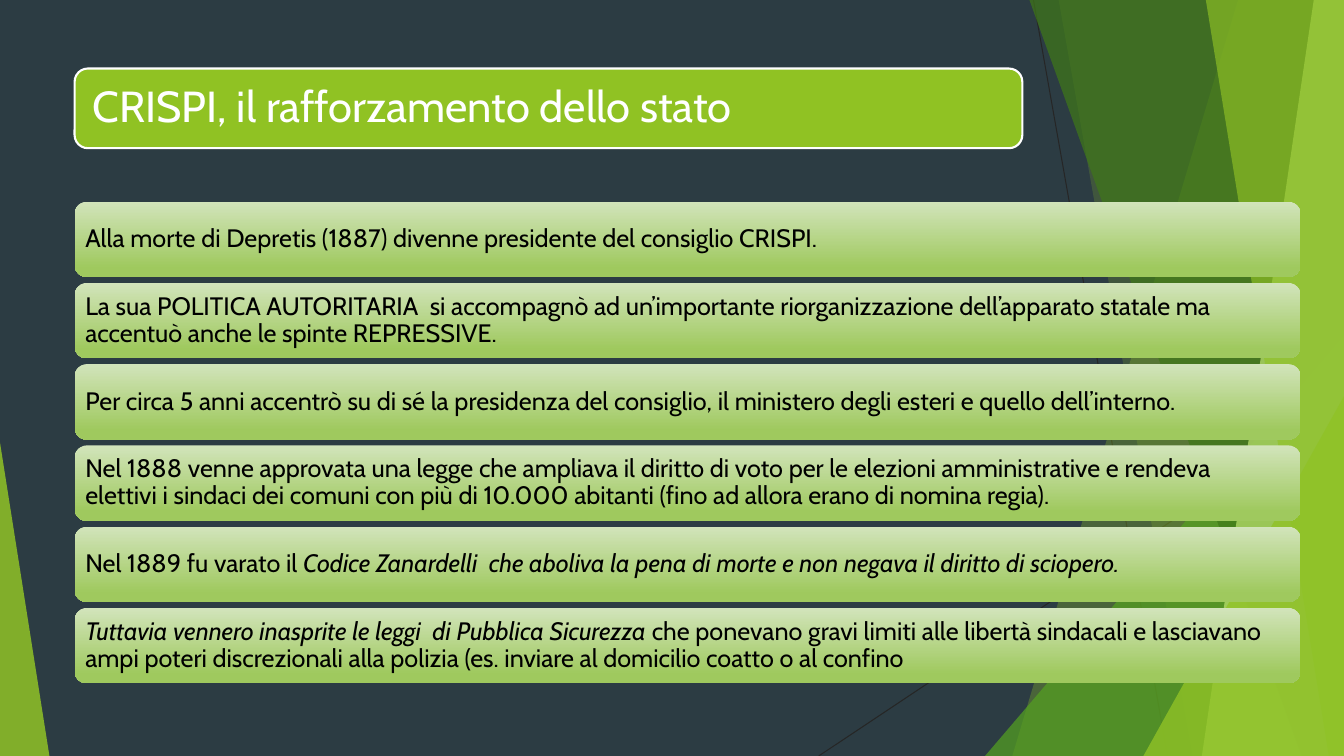
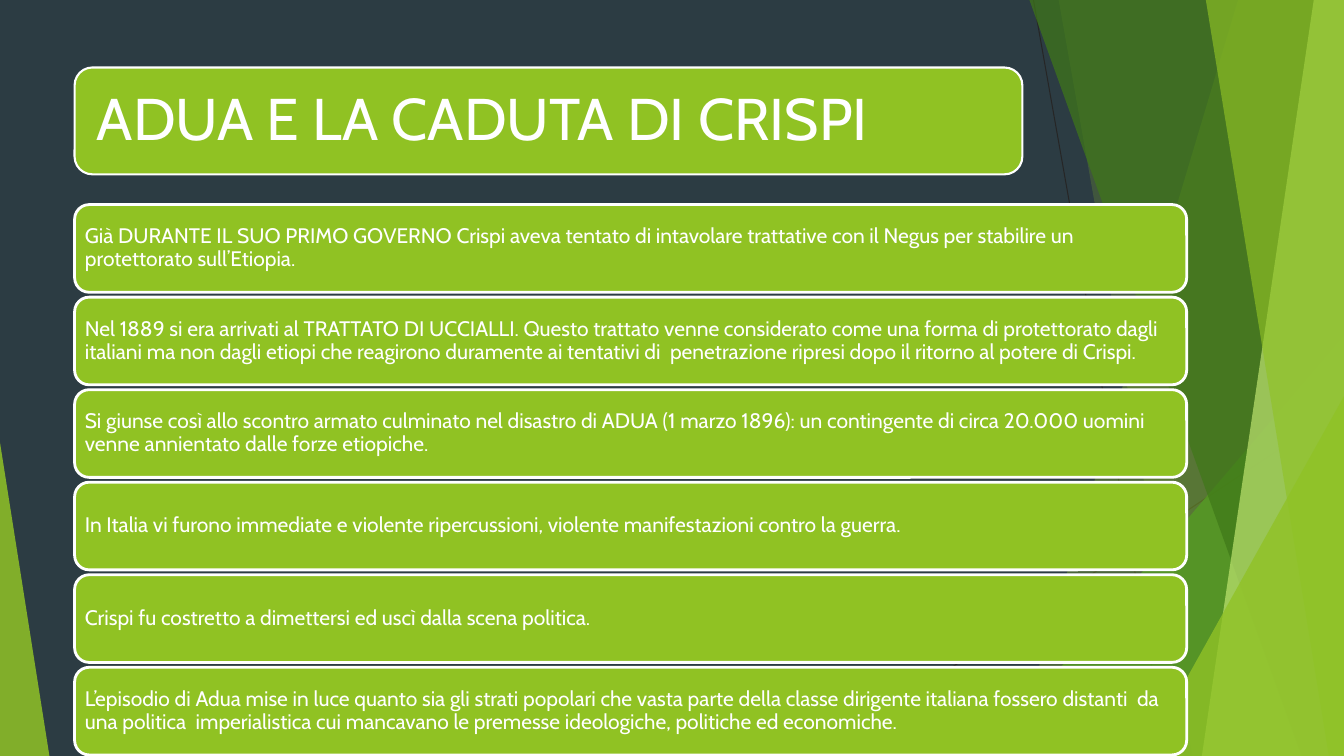
from lxml.etree import SubElement
from pptx import Presentation
from pptx.dml.color import RGBColor
from pptx.enum.shapes import MSO_CONNECTOR, MSO_SHAPE
from pptx.enum.text import MSO_ANCHOR, MSO_AUTO_SIZE, PP_ALIGN
from pptx.oxml.ns import qn
from pptx.util import Inches, Pt

WIDTH, HEIGHT = 13.33, 7.5
LEFT = 0.74
TITLE_WIDTH = 9.4
FONT = "Cabin"

NIGHT = RGBColor(0x2C, 0x3C, 0x43)
HAIRLINE = RGBColor(0x26, 0x26, 0x26)
GREEN = RGBColor(0x90, 0xC2, 0x26)
BAND_GREEN = RGBColor(0x90, 0xC2, 0x23)
MID_GREEN = RGBColor(0x54, 0xA0, 0x21)
DARK_GREEN = RGBColor(0x3F, 0x78, 0x18)
LIME = RGBColor(0xBF, 0xE4, 0x71)
PALE_GREEN = RGBColor(0xD2, 0xE4, 0xBB)
SOFT_GREEN = RGBColor(0x9F, 0xC9, 0x5E)
WHITE = RGBColor(0xFF, 0xFF, 0xFF)
BLACK = RGBColor(0, 0, 0)

CRISPI_ROWS = [
    [("Alla morte di Depretis (1887) divenne presidente del consiglio CRISPI.", False)],
    [("La sua POLITICA AUTORITARIA  si accompagnò ad un’importante riorganizzazione "
      "dell’apparato statale ma accentuò anche le spinte REPRESSIVE.", False)],
    [("Per circa 5 anni accentrò su di sé la presidenza del consiglio, il ministero "
      "degli esteri e quello dell’interno.", False)],
    [("Nel 1888 venne approvata una legge che ampliava il diritto di voto per le "
      "elezioni amministrative e rendeva  elettivi i sindaci dei comuni con più di "
      "10.000 abitanti (fino ad allora erano di nomina regia).", False)],
    [("Nel 1889 fu varato il ", False),
     ("Codice Zanardelli  che aboliva la pena di morte e non negava il diritto di "
      "sciopero.", True)],
    [("Tuttavia vennero inasprite le leggi  di Pubblica Sicurezza ", True),
     ("che ponevano gravi limiti alle libertà sindacali e lasciavano ampi poteri "
      "discrezionali alla polizia (es. inviare al domicilio coatto o al confino", False)],
]

ADUA_ROWS = [
    [("Già DURANTE IL SUO PRIMO GOVERNO Crispi aveva tentato di intavolare trattative "
      "con il Negus per stabilire un protettorato sull’Etiopia.", False)],
    [("Nel 1889 si era arrivati al TRATTATO DI UCCIALLI. Questo trattato venne "
      "considerato come una forma di protettorato dagli italiani ma non dagli etiopi "
      "che reagirono duramente ai tentativi di  penetrazione ripresi dopo il ritorno "
      "al potere di Crispi.", False)],
    [("Si giunse così allo scontro armato culminato nel disastro di ADUA (1 marzo "
      "1896): un contingente di circa 20.000 uomini venne annientato dalle forze "
      "etiopiche.", False)],
    [("In Italia vi furono immediate e violente ripercussioni, violente manifestazioni "
      "contro la guerra.", False)],
    [("Crispi fu costretto a dimettersi ed uscì dalla scena politica.", False)],
    [("L’episodio di Adua mise in luce quanto sia gli strati popolari che vasta parte "
      "della classe dirigente italiana fossero distanti  da una politica  "
      "imperialistica cui mancavano le premesse ideologiche, politiche ed "
      "economiche.", False)],
]


def fill_glass(shape, color, opacity):
    shape.shadow.inherit = False
    shape.line.fill.background()
    shape.fill.solid()
    shape.fill.fore_color.rgb = color
    clr = shape.element.spPr.find(qn("a:solidFill")).find(qn("a:srgbClr"))
    SubElement(clr, qn("a:alpha")).set("val", str(opacity * 1000))


def add_hairline(s, x1, y1, x2, y2):
    line = s.shapes.add_connector(
        MSO_CONNECTOR.STRAIGHT, Inches(x1), Inches(y1), Inches(x2), Inches(y2))
    line.line.color.rgb = HAIRLINE
    line.line.width = Pt(0.75)
    SubElement(line.element.spPr, qn("a:effectLst"))


def add_facet(s, top_x, bottom_x, color, opacity):
    builder = s.shapes.build_freeform(Inches(top_x), 0)
    builder.add_line_segments([
        (Inches(WIDTH), 0),
        (Inches(WIDTH), Inches(HEIGHT)),
        (Inches(bottom_x), Inches(HEIGHT)),
    ], close=True)
    fill_glass(builder.convert_to_shape(), color, opacity)


def add_triangle(s, x, y, width, apex, color, opacity):
    shape = s.shapes.add_shape(
        MSO_SHAPE.ISOSCELES_TRIANGLE,
        Inches(x), Inches(y), Inches(width), Inches(HEIGHT - y))
    shape.adjustments[0] = apex
    fill_glass(shape, color, opacity)


def decorate_layout(layout, s):
    layout.background.fill.solid()
    layout.background.fill.fore_color.rgb = NIGHT
    add_hairline(s, 10.25, 0, 11.58, HEIGHT)
    add_hairline(s, WIDTH, 4.03, 8.12, HEIGHT)
    add_facet(s, 12.28, 10.04, GREEN, 30)
    add_facet(s, 10.5, 11.83, GREEN, 20)
    add_triangle(s, 9.77, 3.33, 3.56, 1, MID_GREEN, 72)
    add_facet(s, 10.21, 12.91, DARK_GREEN, 70)
    add_facet(s, 13.03, 11.92, LIME, 70)
    add_facet(s, 11.96, 13.18, GREEN, 65)
    add_triangle(s, 11.34, 3.93, 1.99, 1, GREEN, 80)
    add_triangle(s, 0, 4.39, 0.49, 0, GREEN, 85)
    decor = [shape for shape in s.shapes if not shape.is_placeholder]
    for number, shape in enumerate(decor, start=100):
        shape.element.xpath(".//p:cNvPr")[0].set("id", str(number))
        layout.shapes.element.append(shape.element)


def add_band(s, x, y, width, height, line_width=None):
    band = s.shapes.add_shape(
        MSO_SHAPE.ROUNDED_RECTANGLE,
        Inches(x), Inches(y), Inches(width), Inches(height))
    band.shadow.inherit = False
    if line_width is None:
        band.line.fill.background()
        band.fill.gradient()
        band.fill.gradient_angle = 270
        stops = band.fill.gradient_stops
        for stop, color, position in zip(stops, (PALE_GREEN, SOFT_GREEN), (0, 0.88)):
            stop.color.rgb = color
            stop.position = position
    else:
        band.fill.solid()
        band.fill.fore_color.rgb = BAND_GREEN
        band.line.color.rgb = WHITE
        band.line.width = Pt(line_width)
    return band


def write(shape, runs, size, color, inset):
    tf = shape.text_frame
    tf.word_wrap = True
    tf.auto_size = MSO_AUTO_SIZE.NONE
    tf.vertical_anchor = MSO_ANCHOR.MIDDLE
    tf.margin_left = tf.margin_right = Inches(inset)
    tf.margin_top = tf.margin_bottom = Inches(inset)
    p = tf.paragraphs[0]
    p.alignment = PP_ALIGN.LEFT
    p.line_spacing = 0.9
    for text, italic in runs:
        r = p.add_run()
        r.text = text
        r.font.name = FONT
        r.font.size = Pt(size)
        r.font.italic = italic
        r.font.color.rgb = color


def add_title(s, text, y, height, size, inset):
    add_band(s, LEFT, y, TITLE_WIDTH, height, 1.5)
    pad = 0.05
    title = s.shapes.title
    title.left, title.top = Inches(LEFT + pad), Inches(y + pad)
    title.width, title.height = Inches(TITLE_WIDTH - 2 * pad), Inches(height - 2 * pad)
    write(title, [(text, False)], size, WHITE, inset)
    s.shapes.element.append(title.element)


def add_rows(s, rows, first, last, width, height, size, color, inset, line_width=None):
    step = (last - first) / (len(rows) - 1)
    for i, runs in enumerate(rows):
        band = add_band(s, LEFT, first + i * step, width, height, line_width)
        write(band, runs, size, color, inset)


def main():
    prs = Presentation()
    prs.slide_width, prs.slide_height = Inches(WIDTH), Inches(HEIGHT)
    layout = prs.slide_layouts.get_by_name("Title Only")

    s = prs.slides.add_slide(layout)
    decorate_layout(layout, s)
    add_title(s, "CRISPI, il rafforzamento dello stato", 0.68, 0.79, 31, 0.13)
    add_rows(s, CRISPI_ROWS, 2, 6.03, 12.16, 0.75, 18, BLACK, 0.07)

    s = prs.slides.add_slide(layout)
    add_title(s, "ADUA E LA CADUTA DI CRISPI", 0.67, 1.06, 42, 0.17)
    add_rows(s, ADUA_ROWS, 2.03, 6.62, 11.03, 0.87, 15, WHITE, 0.06, 2)

    prs.save("out.pptx")


if __name__ == "__main__":
    main()
